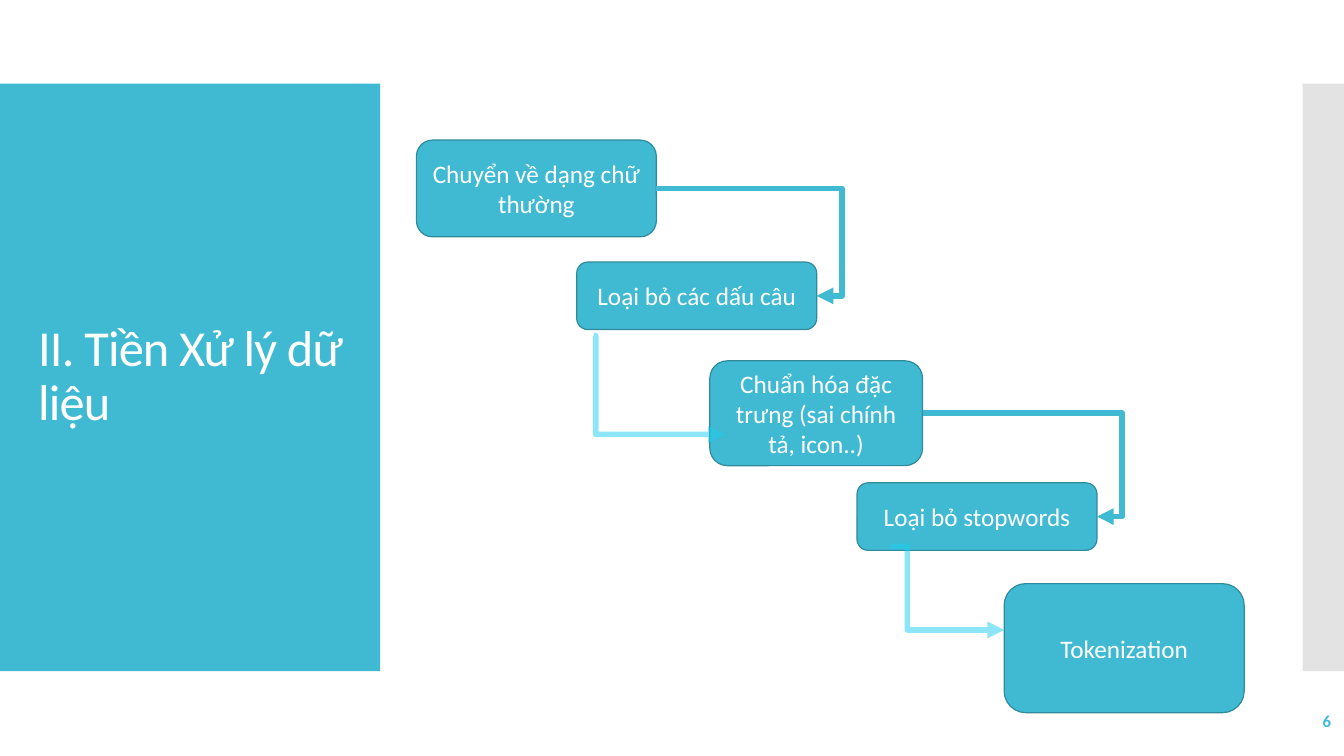
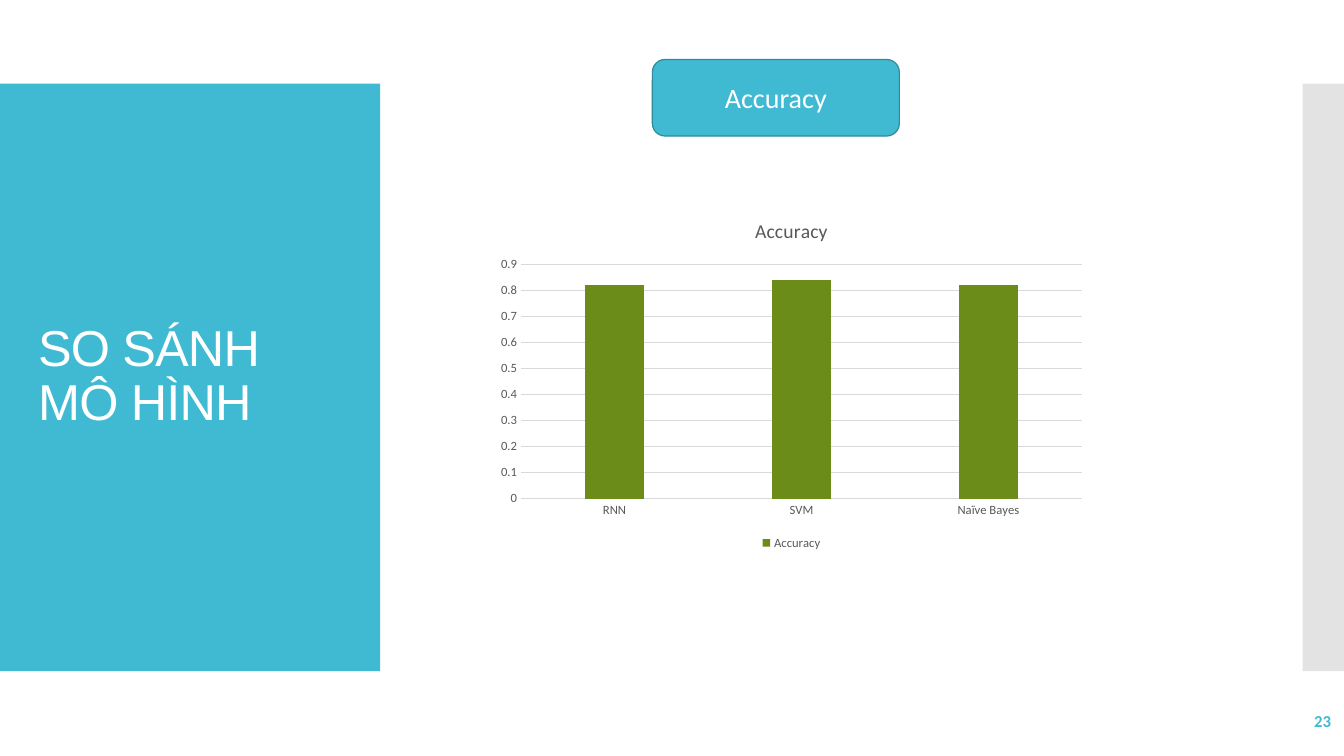
import pptx
import pptx.chart.data
import pptx.dml.color
import pptx.enum.chart
import pptx.enum.shapes
import pptx.enum.text
import pptx.oxml
import pptx.oxml.ns
import pptx.util
from pptx.util import Inches

HUES = {"teal": "40BAD2", "edge": "2F8A9B", "glow": "1BCEF1", "gray": "C8C8C8",
        "white": "FFFFFF", "ink": "595959", "grid": "D9D9D9", "green": "6C8C1A"}
FONT = "Calibri"
SHAPE = pptx.enum.shapes.MSO_SHAPE
ALIGN = pptx.enum.text.PP_ALIGN


def tone(name):
    """Return the named colour."""
    return pptx.dml.color.RGBColor.from_string(HUES[name])


def node(host, tag, **attrs):
    """Append a DrawingML element and return it."""
    item = pptx.oxml.parse_xml(f"<a:{tag} {pptx.oxml.ns.nsdecls('a')}/>")
    for key, val in attrs.items():
        item.set(key, str(val))
    host.append(item)
    return item


def fade(part):
    """Make the solid colour inside a part half transparent."""
    color = next(part.iter(pptx.oxml.ns.qn("a:srgbClr")))
    node(color, "alpha", val=50000)


def style(font, size, hue, face=FONT, bold=False):
    """Set the size, colour and face of a font."""
    font.size = pptx.util.Pt(size)
    font.color.rgb = tone(hue)
    font.name = face
    font.bold = bold


def write(shape, text, size, hue, align, face=FONT, bold=False):
    """Write one vertically centred paragraph and return it with its run."""
    frame = shape.text_frame
    frame.word_wrap = True
    frame.vertical_anchor = pptx.enum.text.MSO_ANCHOR.MIDDLE
    para = frame.paragraphs[0]
    para.alignment = align
    run = para.add_run()
    run.text = text
    style(run.font, size, hue, face, bold)
    return para, run


def block(slide, kind, box, hue):
    """Add a filled shape without a line or shadow."""
    shape = slide.shapes.add_shape(kind, *map(Inches, box))
    shape.shadow.inherit = False
    shape.fill.solid()
    shape.fill.fore_color.rgb = tone(hue)
    shape.line.fill.background()
    return shape


def card(slide, box, text, size):
    """Add a rounded teal box with centred text."""
    shape = block(slide, SHAPE.ROUNDED_RECTANGLE, box, "teal")
    shape.line.color.rgb = tone("edge")
    shape.line.width = pptx.util.Pt(0.85)
    write(shape, text, size, "white", ALIGN.CENTER)


def base(deck, title, face, number):
    """Add a slide with its side bands, title and page number."""
    slide = deck.slides.add_slide(deck.slide_layouts[6])
    top, high = 0.83, 5.83
    block(slide, SHAPE.RECTANGLE, (0, top, 3.77, high), "teal")
    fade(block(slide, SHAPE.RECTANGLE, (12.92, top, 0.42, high), "gray").fill._xPr)
    head = slide.shapes.add_textbox(*map(Inches, (0.28, top + 0.4, 3.28, 5.03)))
    para, run = write(head, title, 36, "white", ALIGN.LEFT, face)
    para.line_spacing = 0.9
    run.font._element.set("spc", "-60")
    foot = slide.shapes.add_textbox(*map(Inches, (11.63, 6.95, 1.67, 0.4)))
    write(foot, number, 12, "teal", ALIGN.RIGHT, bold=True)
    return slide


def elbow(slide, start, end, bend, hue, faint=False):
    """Add a bent arrow whose upright part stands at bend."""
    kind = pptx.enum.shapes.MSO_CONNECTOR.ELBOW
    link = slide.shapes.add_connector(kind, *map(Inches, (*start, *end)))
    link.line.color.rgb = tone(hue)
    link.line.width = pptx.util.Pt(4)
    props = link._element.spPr
    ratio = (bend - start[0]) / (end[0] - start[0])
    guides = next(props.iter(pptx.oxml.ns.qn("a:avLst")))
    node(guides, "gd", name="adj1", fmla=f"val {round(ratio * 100000)}")
    line = link.line._get_or_add_ln()
    if faint:
        fade(line)
    node(line, "tailEnd", type="triangle")
    node(props, "effectLst")


def flow(slide, box):
    """Draw the stair of cleaning steps inside a box."""
    left, top = box[:2]
    steps = [(0, 0, 2.38, 0.96, "Chuyển về dạng chữ thường"),
             (1.59, 1.21, 2.38, 0.67, "Loại bỏ các dấu câu"),
             (2.91, 2.19, 2.11, 1.04, "Chuẩn hóa đặc trưng (sai chính tả, icon..)"),
             (4.37, 3.4, 2.38, 0.67, "Loại bỏ stopwords"),
             (5.83, 4.4, 2.38, 1.28, "Tokenization")]
    ports = []
    for x, y, wide, high, text in steps:
        card(slide, (left + x, top + y, wide, high), text, 18)
        ports.append((left + x + wide, top + y + high / 2))
    for start, end in (ports[0:2], ports[2:4]):
        elbow(slide, start, end, end[0] + 0.25, "teal")
    drops = [((1.76, 1.94), (3.06, 2.92), 1.78),
             ((4.7, 4.03), (5.83, 4.86), 4.87)]
    for start, end, bend in drops:
        ends = [(left + x, top + y) for x, y in (start, end)]
        elbow(slide, *ends, left + bend, "glow", True)


def graph(slide, box):
    """Draw the accuracy column chart in a box."""
    data = pptx.chart.data.CategoryChartData()
    data.categories = ["RNN", "SVM", "Naïve Bayes"]
    data.add_series("Accuracy", (0.82, 0.84, 0.82))
    enum = pptx.enum.chart
    kind = enum.XL_CHART_TYPE.COLUMN_CLUSTERED
    chart = slide.shapes.add_chart(kind, *map(Inches, box), data).chart
    style(chart.font, 10, "ink")
    chart.has_title = True
    run = chart.chart_title.text_frame.paragraphs[0].add_run()
    run.text = "Accuracy"
    style(run.font, 14, "ink")
    chart.chart_title.include_in_layout = False
    chart.has_legend = True
    chart.legend.position = enum.XL_LEGEND_POSITION.BOTTOM
    chart.legend.include_in_layout = False
    style(chart.legend.font, 9, "ink")
    plot = chart.plots[0]
    plot.vary_by_categories = False
    plot.gap_width, plot.overlap = 219, -27
    fill = plot.series[0].format.fill
    fill.solid()
    fill.fore_color.rgb = tone("green")
    cats, vals = chart.category_axis, chart.value_axis
    for axis in (cats, vals):
        axis.major_tick_mark = enum.XL_TICK_MARK.NONE
        axis.minor_tick_mark = enum.XL_TICK_MARK.NONE
        style(axis.tick_labels.font, 9, "ink")
    vals.minimum_scale, vals.maximum_scale, vals.major_unit = 0, 0.9, 0.1
    vals.format.line.fill.background()
    for line in (cats.format.line, vals.major_gridlines.format.line):
        line.color.rgb = tone("grid")
        line.width = pptx.util.Pt(0.75)


def main():
    """Build and save the slides."""
    deck = pptx.Presentation()
    deck.slide_width, deck.slide_height = Inches(13.33), Inches(7.5)
    flow(base(deck, "II. Tiền Xử lý dữ liệu", FONT, "6"), (4.13, 1.39, 8.21, 5.68))
    slide = base(deck, "SO SÁNH MÔ HÌNH", "Arial", "23")
    card(slide, (6.47, 0.59, 2.45, 0.76), "Accuracy", 20)
    graph(slide, (4.85, 2, 6, 3.5))
    deck.save("out.pptx")


if __name__ == "__main__":
    main()
